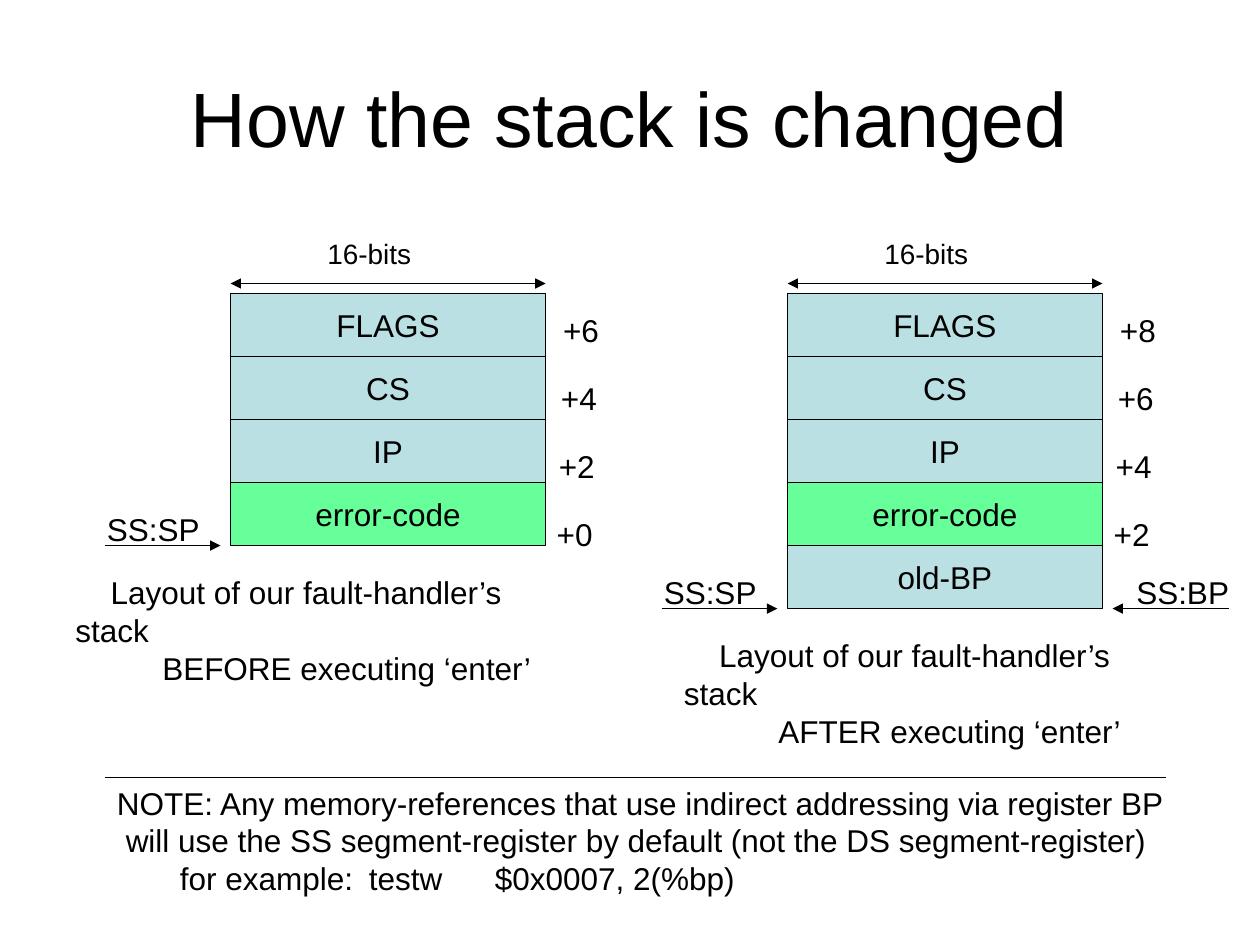
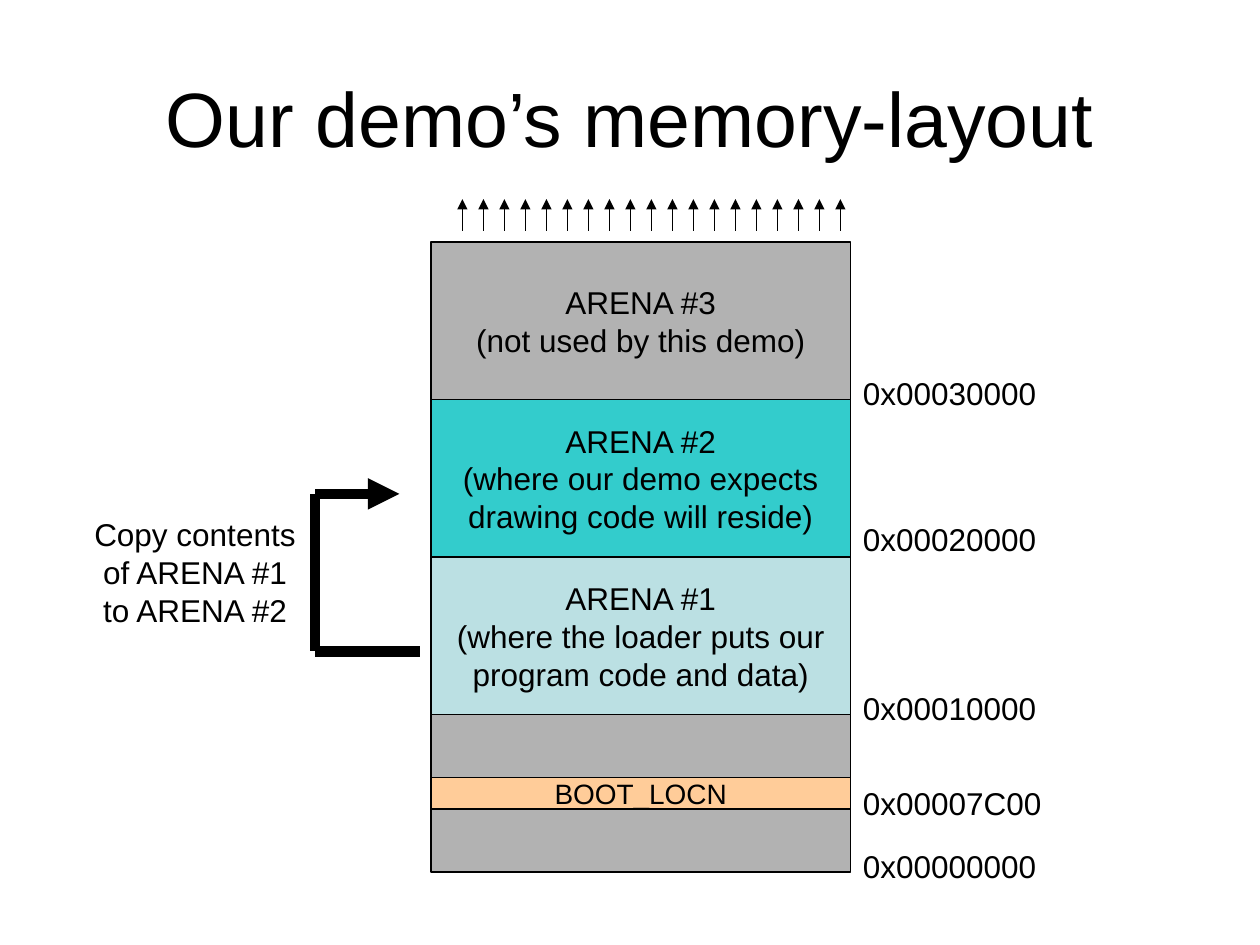
from lxml import etree
from pptx import Presentation
from pptx.dml.color import RGBColor
from pptx.enum.shapes import MSO_CONNECTOR, MSO_SHAPE
from pptx.enum.text import MSO_ANCHOR, PP_ALIGN
from pptx.oxml.ns import qn
from pptx.util import Inches, Pt

RECTANGLE = MSO_SHAPE.RECTANGLE
STRAIGHT = MSO_CONNECTOR.STRAIGHT
LEFT, CENTER = PP_ALIGN.LEFT, PP_ALIGN.CENTER
TOP, MIDDLE = MSO_ANCHOR.TOP, MSO_ANCHOR.MIDDLE

FONT = "Arial"
COLORS = {
    "ink": "000000", "paper": "FFFFFF", "pale": "BBE0E3", "green": "66FF99",
    "gray": "B2B2B2", "teal": "33CCCC", "peach": "FFCC99",
}

# Content: stack slide
STACK_TITLE = "How the stack is changed"
FRAME = [("FLAGS", "pale"), ("CS", "pale"), ("IP", "pale"), ("error-code", "green")]
LAYOUT_LINE = "Layout of our fault-handler’s stack"
STACKS = [
    {"left": 1.83, "cells": FRAME, "offsets": ["+6", "+4", "+2", "+0"],
     "caption": "BEFORE executing ‘enter’", "caption_left": 0.5, "indent": 0.69},
    {"left": 6.25, "cells": FRAME + [("old-BP", "pale")],
     "offsets": ["+8", "+6", "+4", "+2"],
     "caption": "AFTER executing ‘enter’", "caption_left": 5.33, "indent": 0.75,
     "base_pointer": "SS:BP"},
]
NOTE = [
    "NOTE: Any memory-references that use indirect addressing via register BP",
    "will use the SS segment-register by default (not the DS segment-register)",
    "\tfor example:\ttestw\t$0x0007, 2(%bp)",
]
NOTE_TABS = (1, 3, 4)

# Content: memory slide
MEMORY_TITLE = "Our demo’s memory-layout"
ARENAS = [  # lines, colour
    (["ARENA #3", "(not used by this demo)"], "gray"),
    (["ARENA #2", "(where our demo expects", "drawing code will reside)"], "teal"),
    (["ARENA #1", "(where the loader puts our", "program code and data)"], "pale"),
    ([], "gray"),
]
BOOT_AREA = "BOOT_LOCN"
ADDRESSES = [  # text, top
    ("0x00030000", 2.92), ("0x00020000", 4.08), ("0x00010000", 5.42),
    ("0x00007C00", 6.17), ("0x00000000", 6.67),
]
COPY_LABEL = ["Copy contents", "of ARENA #1", "to ARENA #2"]

# Geometry
STACK_TOP, CELL_WIDTH, CELL_HEIGHT = 2.33, 2.5, 0.5
MEMORY_LEFT, MEMORY_TOP, MEMORY_WIDTH, ARENA_HEIGHT = 3.42, 1.92, 3.33, 1.25
ARROW_COUNT, ARROW_LEFT, ARROW_STEP = 19, 3.67, 1 / 6


def color(name):
    return RGBColor.from_string(COLORS[name])


def write(shape, lines, size=18, align=LEFT, anchor=TOP, indents=(), tabs=()):
    """Fill a shape with paragraphs; indents gives (margin, first line) per paragraph."""
    frame = shape.text_frame
    frame.word_wrap = True
    frame.vertical_anchor = anchor
    for index, line in enumerate(lines):
        para = frame.paragraphs[0] if index == 0 else frame.add_paragraph()
        para.alignment = align
        properties = para._p.get_or_add_pPr()
        if index < len(indents):
            margin, first = indents[index]
            properties.set("marL", str(Inches(margin)))
            properties.set("indent", str(Inches(first)))
        if tabs:
            stops = etree.SubElement(properties, qn("a:tabLst"))
            for tab in tabs:
                etree.SubElement(stops, qn("a:tab"), pos=str(Inches(tab)), algn="l")
        span = para.add_run()
        span.text = line
        span.font.name = FONT
        span.font.size = Pt(size)
        span.font.color.rgb = color("ink")


def add_text(page, lines, left, top, width, height=0.4, **text_format):
    box = page.shapes.add_textbox(Inches(left), Inches(top), Inches(width), Inches(height))
    write(box, lines, **text_format)


def add_cell(page, lines, left, top, width, height, fill, size=18):
    cell = page.shapes.add_shape(
        RECTANGLE, Inches(left), Inches(top), Inches(width), Inches(height))
    cell.shadow.inherit = False
    cell.fill.solid()
    cell.fill.fore_color.rgb = color(fill)
    cell.line.color.rgb = color("ink")
    cell.line.width = Pt(0.75)
    write(cell, lines, size=size, align=CENTER, anchor=MIDDLE)


def add_line(page, start, end, weight=0.75, heads=()):
    """Draw a line; heads may hold headEnd (at start) and tailEnd (at end)."""
    line = page.shapes.add_connector(STRAIGHT, *map(Inches, start + end))
    line.line.color.rgb = color("ink")
    line.line.width = Pt(weight)
    properties = line._element.spPr
    for head in heads:
        etree.SubElement(properties.find(qn("a:ln")), qn("a:" + head), type="triangle")
    etree.SubElement(properties, qn("a:effectLst"))


def add_page(deck, title):
    page = deck.slides.add_slide(deck.slide_layouts[6])
    page.background.fill.solid()
    page.background.fill.fore_color.rgb = color("paper")
    add_text(page, [title], 0.5, 0.3, 9, 1.25, size=44, align=CENTER, anchor=MIDDLE)
    return page


def draw_stack(page, stack):
    left = stack["left"]
    bottom = STACK_TOP + CELL_HEIGHT * len(stack["cells"])

    # Cells and their offsets
    for row, (name, fill) in enumerate(stack["cells"]):
        add_cell(page, [name], left, STACK_TOP + row * CELL_HEIGHT,
                 CELL_WIDTH, CELL_HEIGHT, fill)
    for row, offset in enumerate(stack["offsets"]):
        add_text(page, [offset], left + 2.54 - row / 60, 2.42 + 0.54 * row, 0.55)

    # Width measure
    add_text(page, ["16-bits"], left + 0.67, 1.83, 0.95, 0.37, size=16)
    add_line(page, (left, 2.25), (left + CELL_WIDTH, 2.25), heads=("headEnd", "tailEnd"))

    # Register pointers
    add_text(page, ["SS:SP"], left - 1.08, bottom - 0.33, 1)
    add_line(page, (left - 1, bottom), (left - 0.08, bottom), heads=("tailEnd",))
    if "base_pointer" in stack:
        add_text(page, [stack["base_pointer"]], left + 2.67, bottom - 0.33, 1)
        add_line(page, (left + 3.5, bottom), (left + 2.58, bottom), heads=("tailEnd",))

    # Caption
    add_text(page, [LAYOUT_LINE, stack["caption"]], stack["caption_left"],
             bottom + 0.17, 4.1, 1, indents=[(0, 0.28), (stack["indent"], 0)])


def build_stack_page(deck):
    page = add_page(deck, STACK_TITLE)
    for stack in STACKS:
        draw_stack(page, stack)
    add_text(page, NOTE, 0.83, 6.17, 8.7, 1, tabs=NOTE_TABS,
             indents=[(0, 0), (0.07, 0), (0, 0)])
    add_line(page, (0.83, 6.17), (9.25, 6.17))


def build_memory_page(deck):
    page = add_page(deck, MEMORY_TITLE)

    # Memory regions, from high to low addresses
    for row, (lines, fill) in enumerate(ARENAS):
        add_cell(page, lines, MEMORY_LEFT, MEMORY_TOP + row * ARENA_HEIGHT,
                 MEMORY_WIDTH, ARENA_HEIGHT, fill)
    add_cell(page, [BOOT_AREA], MEMORY_LEFT, 6.17, MEMORY_WIDTH, 0.25, "peach", size=16)
    for address, top in ADDRESSES:
        add_text(page, [address], MEMORY_LEFT + MEMORY_WIDTH, top, 1.7)

    # Row of arrows toward higher memory
    for index in range(ARROW_COUNT):
        x = ARROW_LEFT + index * ARROW_STEP
        add_line(page, (x, 1.83), (x, 1.58), heads=("tailEnd",))

    # Copy path from arena 1 to arena 2
    add_line(page, (2.5, 3.92), (3.17, 3.92), weight=6, heads=("tailEnd",))
    add_line(page, (2.5, 3.92), (2.5, 5.17), weight=6)
    add_line(page, (2.5, 5.17), (3.33, 5.17), weight=6)
    add_text(page, COPY_LABEL, 0.65, 4.04, 1.9, 1,
             indents=[(0, 0), (0.07, 0), (0.07, 0)])


def main():
    deck = Presentation()
    deck.slide_width, deck.slide_height = Inches(10), Inches(7.5)
    build_stack_page(deck)
    build_memory_page(deck)
    deck.save("out.pptx")


if __name__ == "__main__":
    main()
